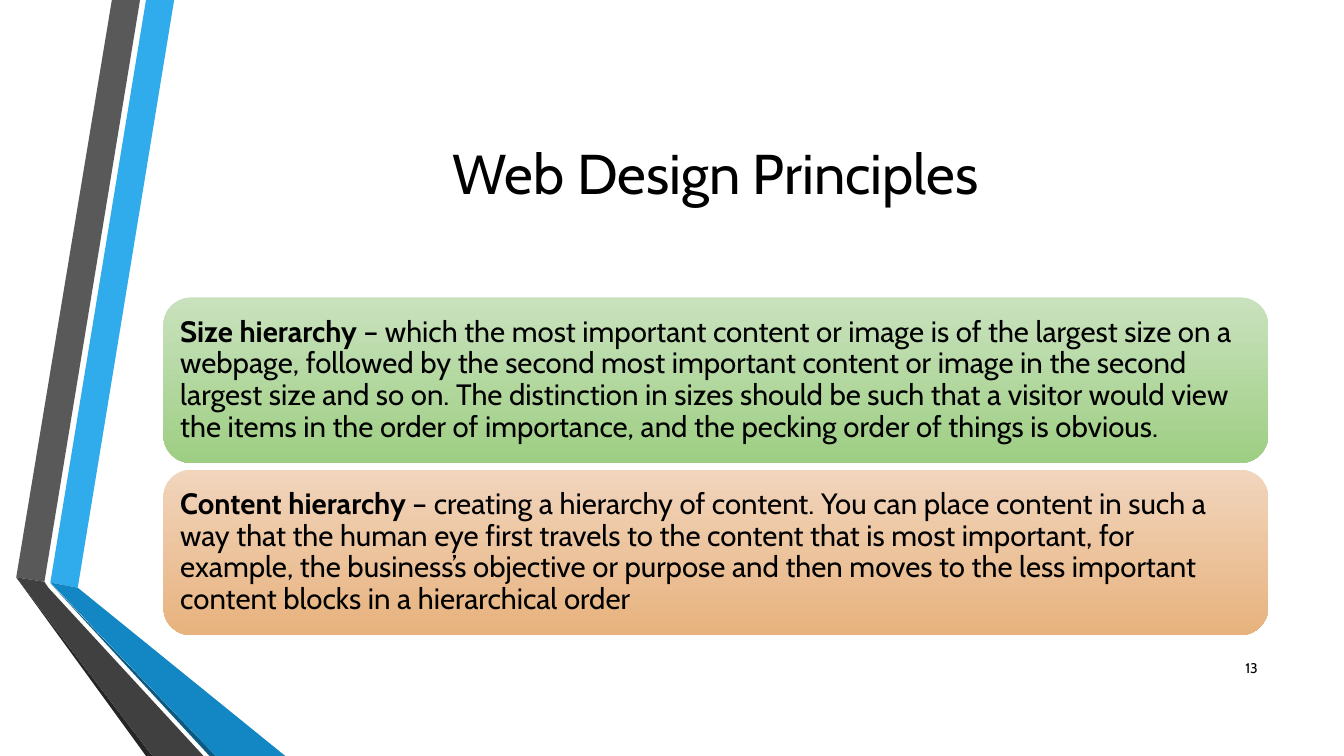
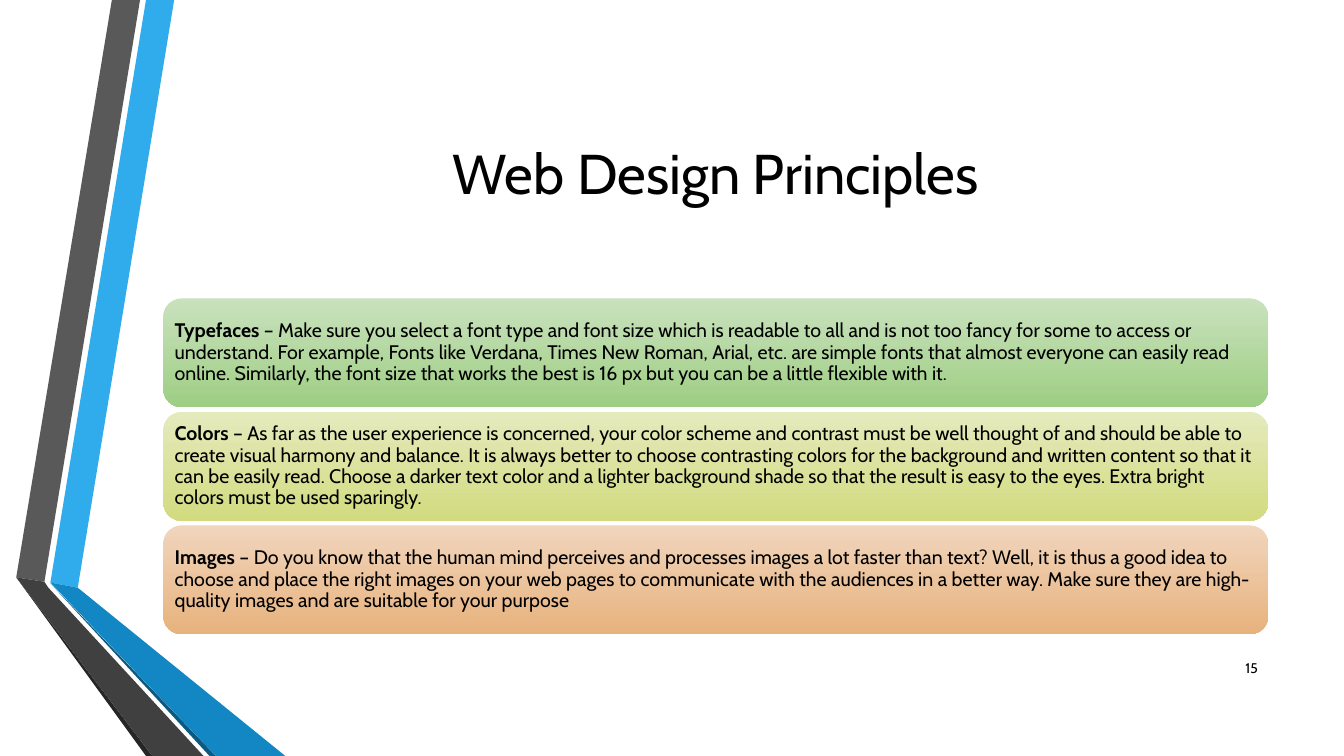
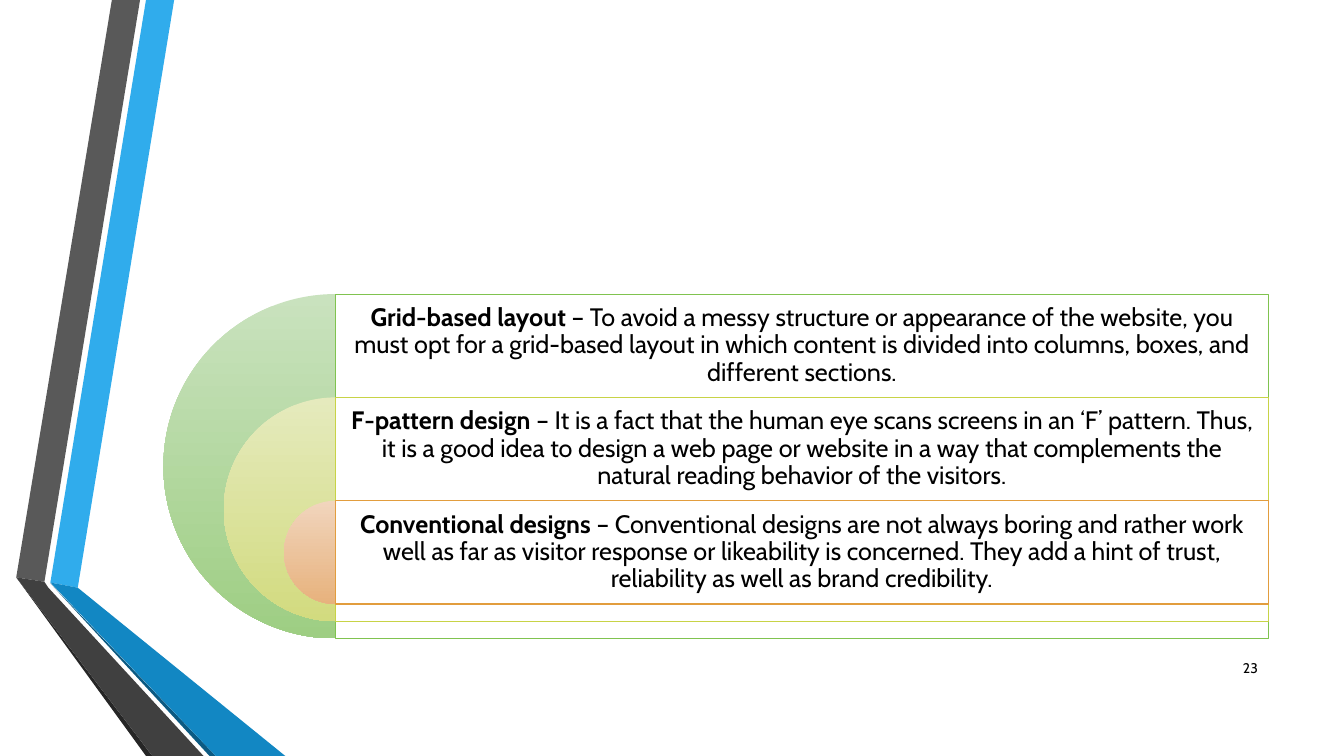
from lxml import etree
from pptx import Presentation
from pptx.dml.color import RGBColor
from pptx.enum.shapes import MSO_SHAPE
from pptx.enum.text import MSO_ANCHOR, PP_ALIGN
from pptx.oxml.ns import qn
from pptx.util import Cm, Pt

ROUNDED, PIE, RECTANGLE = MSO_SHAPE.ROUNDED_RECTANGLE, MSO_SHAPE.PIE, MSO_SHAPE.RECTANGLE
MIDDLE = MSO_ANCHOR.MIDDLE
LEFT, CENTER, RIGHT = PP_ALIGN.LEFT, PP_ALIGN.CENTER, PP_ALIGN.RIGHT

FONT = "Cabin"
COLORS = {
    "text": "000000", "panel": "FFFFFF",
    "sky": "30ACEC", "gray": "595959", "black": "262626",
    "navy": "0C5A82", "blue": "1287C3", "charcoal": "404040",
    "green_top": "C9E2BE", "green_bottom": "9ECE83", "green_line": "80C34F",
    "lime_top": "E5EABD", "lime_bottom": "D2DB7F", "lime_line": "C8D346",
    "orange_top": "F1D5BD", "orange_bottom": "E7B27D", "orange_line": "E29D3E",
}
RIBBON = [
    ("sky", [(1.27, 14.68), (1.96, 14.81), (4.39, 0), (3.68, 0)]),
    ("gray", [(3.53, 0), (2.82, 0), (0.41, 14.55), (1.12, 14.66)]),
    ("black", [(0.41, 14.55), (3.68, 19.05), (3.84, 19.05)]),
    ("navy", [(1.27, 14.7), (5.28, 19.05), (5.44, 19.05)]),
    ("blue", [(1.27, 14.68), (5.44, 19.05), (7.19, 19.05), (1.96, 14.81)]),
    ("charcoal", [(5.13, 19.05), (1.22, 14.81), (1.12, 14.66), (0.41, 14.55), (3.84, 19.05)]),
]
TITLE_BOX = (4.12, 1.9, 27.84, 4.88)
CONTENT_BOX = (4.12, 7.41, 27.84, 8.68)
NUMBER_BOX = (30.43, 16.31, 1.52, 1.02)

HIERARCHIES = [
    ("green", "Size hierarchy ", "– which the most important content or image is of the largest size on a webpage, followed by the second most important content or image in the second largest size and so on. The distinction in sizes should be such that a visitor would view the items in the order of importance, and the pecking order of things is obvious."),
    ("orange", "Content hierarchy ", "– creating a hierarchy of content. You can place content in such a way that the human eye first travels to the content that is most important, for example, the business’s objective or purpose and then moves to the less important content blocks in a hierarchical order"),
]
ELEMENTS = [
    ("green", "Typefaces", " – Make sure you select a font type and font size which is readable to all and is not too fancy for some to access or understand. For example, Fonts like Verdana, Times New Roman, Arial, etc. are simple fonts that almost everyone can easily read online. Similarly, the font size that works the best is 16 px but you can be a little flexible with it."),
    ("lime", "Colors", " – As far as the user experience is concerned, your color scheme and contrast must be well thought of and should be able to create visual harmony and balance. It is always better to choose contrasting colors for the background and written content so that it can be easily read. Choose a darker text color and a lighter background shade so that the result is easy to the eyes. Extra bright colors must be used sparingly."),
    ("orange", "Images", " – Do you know that the human mind perceives and processes images a lot faster than text? Well, it is thus a good idea to choose and place the right images on your web pages to communicate with the audiences in a better way. Make sure they are high-quality images and are suitable for your purpose"),
]
LAYOUTS = [
    ("green", "Grid-based layout ", "– To avoid a messy structure or appearance of the website, you must opt for a grid-based layout in which content is divided into columns, boxes, and different sections."),
    ("lime", "F-pattern design ", "– It is a fact that the human eye scans screens in an ‘F’ pattern. Thus, it is a good idea to design a web page or website in a way that complements the natural reading behavior of the visitors."),
    ("orange", "Conventional designs ", "– Conventional designs are not always boring and rather work well as far as visitor response or likeability is concerned. They add a hint of trust, reliability as well as brand credibility."),
]


def rgb(name):
    """Return the named colour."""
    return RGBColor.from_string(COLORS[name])


def apply(target, values):
    """Set each format value on the target."""
    for name, value in values.items():
        setattr(target, name, value)


def write(frame, runs, size, align, spacing=1.0, margins=None):
    """Write (text, bold) runs as one vertically centred paragraph."""
    apply(frame, {"word_wrap": True, "vertical_anchor": MIDDLE, **(margins or {})})
    paragraph = frame.paragraphs[0]
    apply(paragraph, {"alignment": align, "line_spacing": spacing})
    for words, bold in runs:
        run = paragraph.add_run()
        run.text = words
        apply(run.font, {"name": FONT, "size": Pt(size), "bold": bold})
        run.font.color.rgb = rgb("text")


def even_margins(inset):
    """Return the same margin for all four sides."""
    return {f"margin_{side}": Cm(inset) for side in ("left", "top", "right", "bottom")}


def add_label(slide, box, words, size, align):
    """Add a plain line of text."""
    label = slide.shapes.add_textbox(*map(Cm, box))
    write(label.text_frame, [(words, False)], size, align)


def add_tinted(slide, preset, box, tint):
    """Add a borderless shape with a gradient running downwards."""
    tinted = slide.shapes.add_shape(preset, *map(Cm, box))
    tinted.shadow.inherit = False
    tinted.line.fill.background()
    tinted.fill.gradient()
    tinted.fill.gradient_angle = 270
    for stop, end in zip(tinted.fill.gradient_stops, ("top", "bottom")):
        stop.color.rgb = rgb(f"{tint}_{end}")
    return tinted


def add_panel(slide, box, tint):
    """Add a slightly transparent white panel with a tinted border."""
    panel = slide.shapes.add_shape(RECTANGLE, *map(Cm, box))
    panel.shadow.inherit = False
    panel.fill.solid()
    panel.fill.fore_color.rgb = rgb("panel")
    white = panel.element.spPr.find(qn("a:solidFill")).find(qn("a:srgbClr"))
    etree.SubElement(white, qn("a:alpha")).set("val", "90000")
    panel.line.color.rgb = rgb(f"{tint}_line")
    panel.line.width = Pt(0.75)
    return panel


def add_ribbon(slide, layout):
    """Draw the folded ribbon and place it on the layout shared by all slides."""
    ribbon = slide.shapes.add_group_shape()
    for color, points in RIBBON:
        corners = [(Cm(x), Cm(y)) for x, y in points]
        outline = ribbon.shapes.build_freeform(*corners[0])
        outline.add_line_segments(corners[1:], close=True)
        band = outline.convert_to_shape()
        band.shadow.inherit = False
        band.fill.solid()
        band.fill.fore_color.rgb = rgb(color)
        band.line.fill.background()
    layout.shapes.element.append(ribbon.element)


def add_cards(slide, box, topics, height, gap, size, inset):
    """Stack equal cards, centred vertically in the box."""
    left, top, width, room = box
    pitch = height + gap
    first = top + (room - len(topics) * pitch + gap) / 2
    for row, (tint, term, meaning) in enumerate(topics):
        card = add_tinted(slide, ROUNDED, (left, first + row * pitch, width, height), tint)
        write(card.text_frame, [(term, True), (meaning, False)], size, LEFT, 0.9,
              even_margins(inset))


def add_nested_targets(slide, box, topics):
    """Nest half discs on one axis, each with its panel to the right."""
    left, top, width, room = box
    axis = left + room / 2
    step = 0.3 * room
    for row, (tint, term, meaning) in enumerate(topics):
        size = room * (1 - 0.35 * row)
        level = top + row * step
        disc = add_tinted(slide, PIE, (axis - size / 2, level, size, size), tint)
        disc.adjustments[0], disc.adjustments[1] = 54, 162
        panel = add_panel(slide, (axis, level, left + width - axis, size), tint)
        margins = {**even_margins(0.18), "margin_bottom": Cm(size - step + 0.18)}
        write(panel.text_frame, [(term, True), (meaning, False)], 18, CENTER, 0.9, margins)


def add_page(deck, number, title=None):
    """Add a blank slide with its number and, if given, its title."""
    slide = deck.slides.add_slide(deck.slide_layouts[6])
    if title:
        add_label(slide, TITLE_BOX, title, 40, CENTER)
    add_label(slide, NUMBER_BOX, number, 10, RIGHT)
    return slide


def main():
    """Build and save the deck."""
    deck = Presentation()
    apply(deck, {"slide_width": Cm(33.87), "slide_height": Cm(19.05)})
    heading = "Web Design Principles"

    hierarchy = add_page(deck, "13", heading)
    add_ribbon(hierarchy, hierarchy.slide_layout)
    add_cards(hierarchy, CONTENT_BOX, HIERARCHIES, 4.17, 0.17, 21, 0.22)

    elements = add_page(deck, "15", heading)
    add_cards(elements, CONTENT_BOX, ELEMENTS, 2.74, 0.12, 14, 0.15)

    layouts = add_page(deck, "23")
    add_nested_targets(layouts, CONTENT_BOX, LAYOUTS)

    deck.save("out.pptx")


if __name__ == "__main__":
    main()
